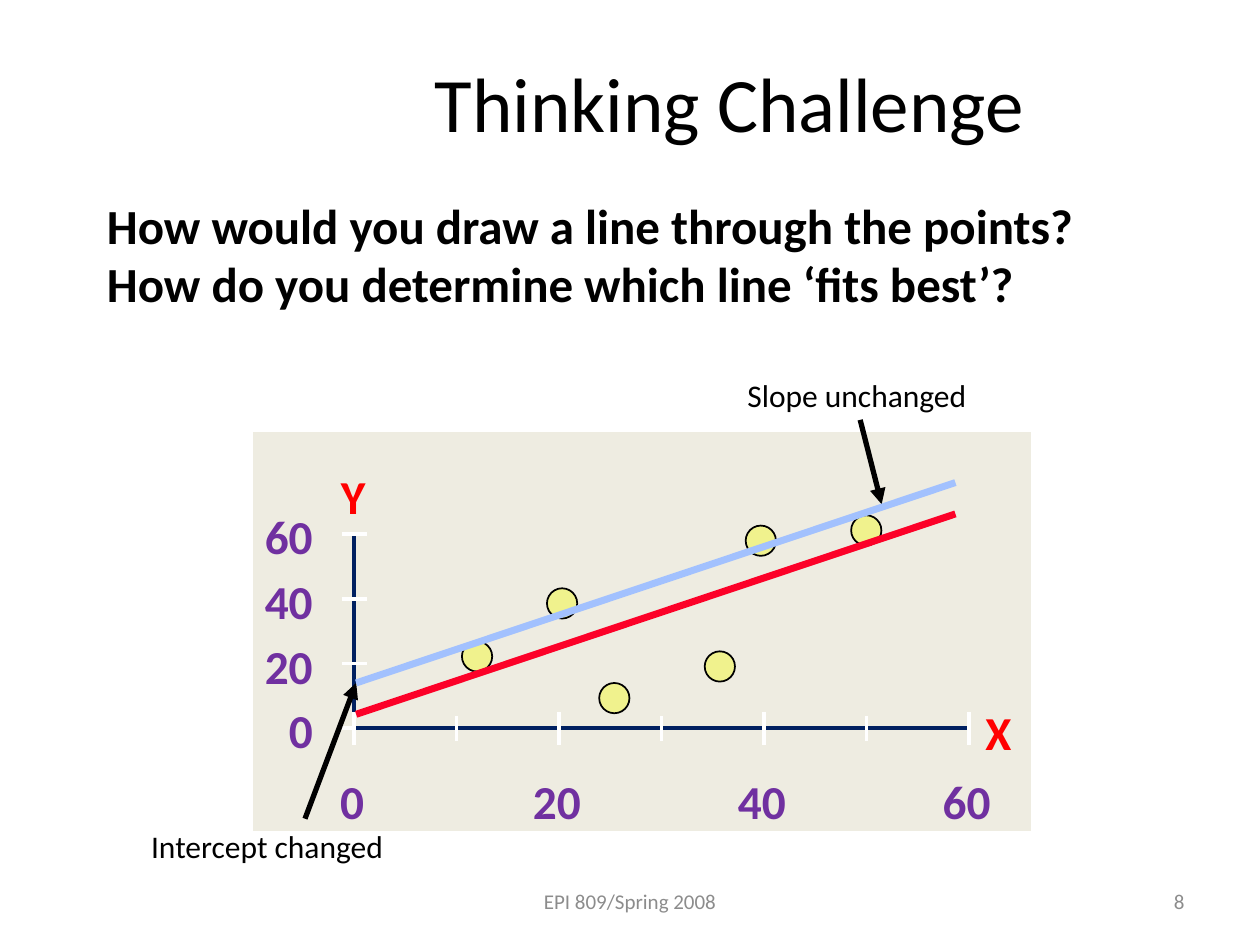
from pptx import Presentation
from pptx.dml.color import RGBColor as RGB
from pptx.enum.shapes import MSO_CONNECTOR as CONN, MSO_SHAPE as SHAPE
from pptx.enum.text import MSO_ANCHOR as ANCHOR, PP_ALIGN as ALIGN
from pptx.oxml.ns import qn
from pptx.util import Inches, Pt
from lxml.etree import SubElement

W, H = 10, 7.5
COLORS = {
    "ink": "000000", "footer": "8C8C8C", "panel": "EEECE1", "white": "FFFFFF",
    "axis": "002060", "number": "7030A0", "name": "FF0000", "dot": "F0F28D",
    "moved": "A2C1FE", "first": "FC0128",
}
TITLE = {"size": Pt(44)}
BODY = {"size": Pt(28), "bold": True}
LABEL = {"size": Pt(27), "bold": True}
CALLOUT = {"size": Pt(18)}
FOOTER = {"size": Pt(12)}
POINTS = [(25.4, 9.3), (50, 61.2), (20.3, 38.6), (39.7, 58), (35.7, 19.1), (12, 22.2)]
FIT_X, FIT_RISE = (0.2, 58.7), 62
FIRST_START, MOVED_START = 4.3, 14


def rgb(name):
    return RGB.from_string(COLORS[name])


def add_text(s, box, text, fmt, color="ink", align=ALIGN.LEFT, anchor=ANCHOR.TOP):
    tf = s.shapes.add_textbox(*map(Inches, box)).text_frame
    tf.word_wrap, tf.vertical_anchor = True, anchor
    p = tf.paragraphs[0]
    p.alignment = align
    r = p.add_run()
    r.text = text
    for key, value in {"name": "Calibri", **fmt}.items():
        setattr(r.font, key, value)
    r.font.color.rgb = rgb(color)


def add_shape(s, kind, box, fill, line):
    sp = s.shapes.add_shape(kind, *map(Inches, box))
    sp.shadow.inherit = False
    sp.fill.solid()
    sp.fill.fore_color.rgb = rgb(fill)
    sp.line.color.rgb = rgb(line)
    sp.line.width = Pt(1)


def add_line(s, start, end, color, width, arrow=False):
    c = s.shapes.add_connector(CONN.STRAIGHT, *map(Inches, (*start, *end)))
    c.line.color.rgb = rgb(color)
    c.line.width = Pt(width)
    if arrow:
        SubElement(c.line._get_or_add_ln(), qn("a:tailEnd"), type="triangle")
    SubElement(c._element.spPr, qn("a:effectLst"))


def scale(box):
    x, y, w, h = box
    return lambda u, v: (x + w * (0.131 + 0.788 * u / 60),
                         y + h * (0.742 - 0.484 * v / 60))


def centred(center, w, h):
    return center[0] - w / 2, center[1] - h / 2, w, h


def add_axes(s, box, at):
    add_line(s, at(0, 60), at(0, 0), "axis", 2)
    for v in range(0, 61, 20):
        x, y = at(0, v)
        add_line(s, (x - 0.1, y), (x + 0.1, y), "white", 2)
        add_text(s, (box[0], y - 0.26, 0.58, 0.55), str(v), LABEL, "number", ALIGN.RIGHT)
    add_line(s, at(0, 0), at(60, 0), "axis", 2)
    for u in range(0, 61, 10):
        x, y = at(u, 0)
        half = 0.1 if u % 20 else 0.13
        add_line(s, (x, y + half), (x, y - half), "white", 2)
        if u % 20 == 0:
            add_text(s, centred(at(u - 0.2, -22.4), 0.6, 0.55), str(u), LABEL,
                     "number", ALIGN.CENTER)
    for name, u, v in (("X", 62.9, -1), ("Y", -0.1, 71.9)):
        add_text(s, centred(at(u, v), 0.5, 0.55), name, LABEL, "name", ALIGN.CENTER)


def add_callouts(s, at):
    add_line(s, at(49.4, 95.4), at(51.5, 69.3), "ink", 3, True)
    add_text(s, centred(at(50.4, 103), 2.15, 0.4), "Slope unchanged", CALLOUT)
    add_text(s, centred(at(-7.5, -36.6), 2.2, 0.4), "Intercept changed", CALLOUT)
    foot = at(FIT_X[0], FIRST_START)
    add_line(s, foot, foot, "ink", 1, True)
    add_line(s, at(-4.8, -28), at(FIT_X[0], MOVED_START), "ink", 3, True)


def add_scatter(s, box):
    at = scale(box)
    add_shape(s, SHAPE.RECTANGLE, box, "panel", "white")
    add_axes(s, box, at)
    for point in POINTS:
        add_shape(s, SHAPE.OVAL, centred(at(*point), 0.24, 0.24), "dot", "ink")
    add_callouts(s, at)
    for color, v in (("moved", MOVED_START), ("first", FIRST_START)):
        add_line(s, at(FIT_X[0], v), at(FIT_X[1], v + FIT_RISE), color, 4)


def add_heading(s, box):
    x, y, w, h = box
    add_text(s, (x + 0.13 * w, y, 0.87 * w, 0.44 * h), "Thinking Challenge", TITLE,
             align=ALIGN.CENTER, anchor=ANCHOR.MIDDLE)
    add_text(s, (x, y + 0.466 * h, 0.96 * w, 0.534 * h),
             "How would you draw a line through the points? "
             "How do you determine which line ‘fits best’?", BODY)


def add_footer(s, box):
    x, y, w, h = box
    add_text(s, (x, y, 0.52 * w, h), "EPI 809/Spring 2008", FOOTER, "footer",
             ALIGN.CENTER, ANCHOR.MIDDLE)
    add_text(s, (x + 0.617 * w, y, 0.383 * w, h), "8", FOOTER, "footer",
             ALIGN.RIGHT, ANCHOR.MIDDLE)


def main():
    prs = Presentation()
    prs.slide_width, prs.slide_height = Inches(W), Inches(H)
    s = prs.slides.add_slide(prs.slide_layouts[6])
    add_footer(s, (3.42, 6.95, 6.08, 0.4))
    add_heading(s, (0.75, 0.19, 8.92, 2.81))
    add_scatter(s, (2, 3.42, 6.19, 3.18))
    prs.save("out.pptx")


if __name__ == "__main__":
    main()
